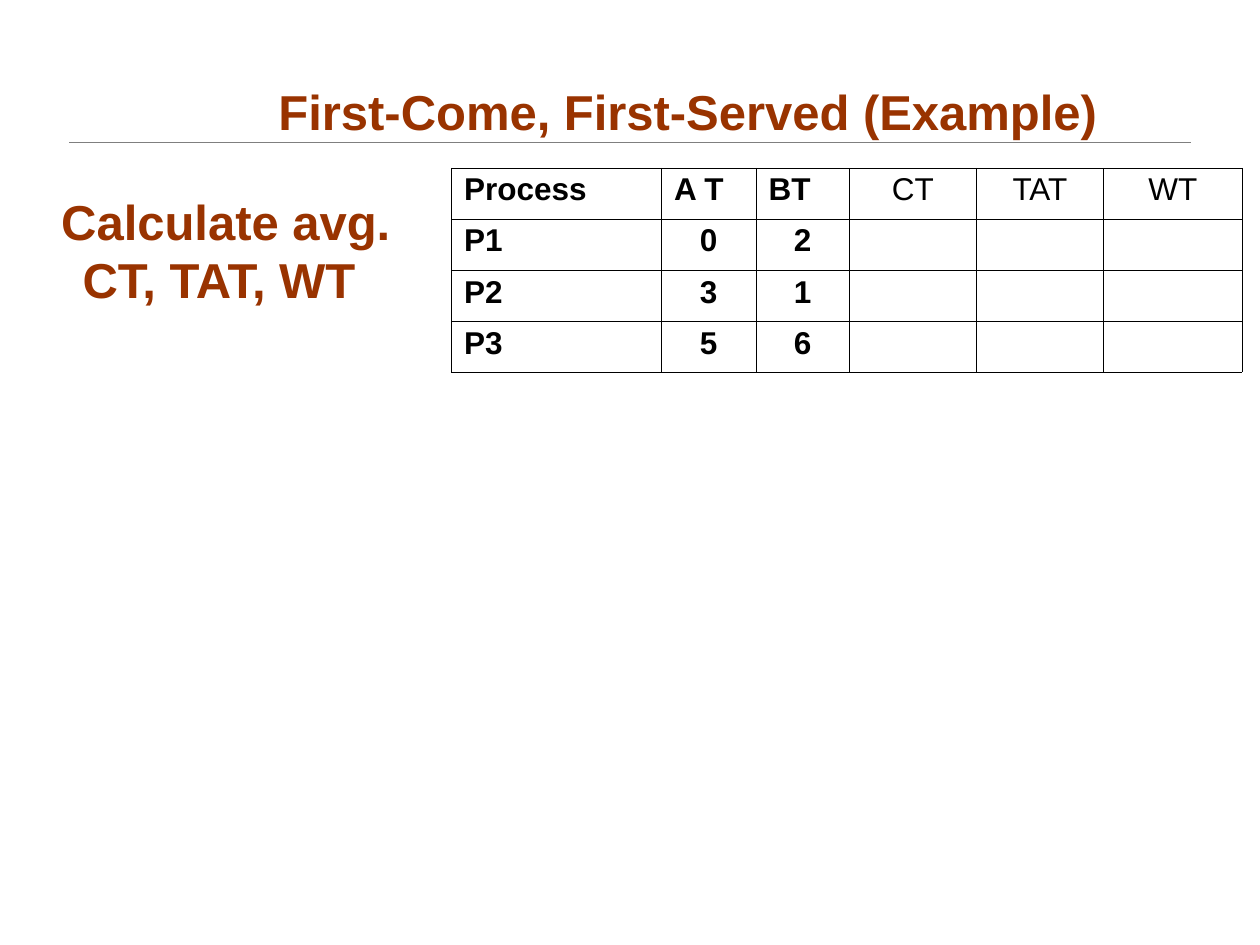
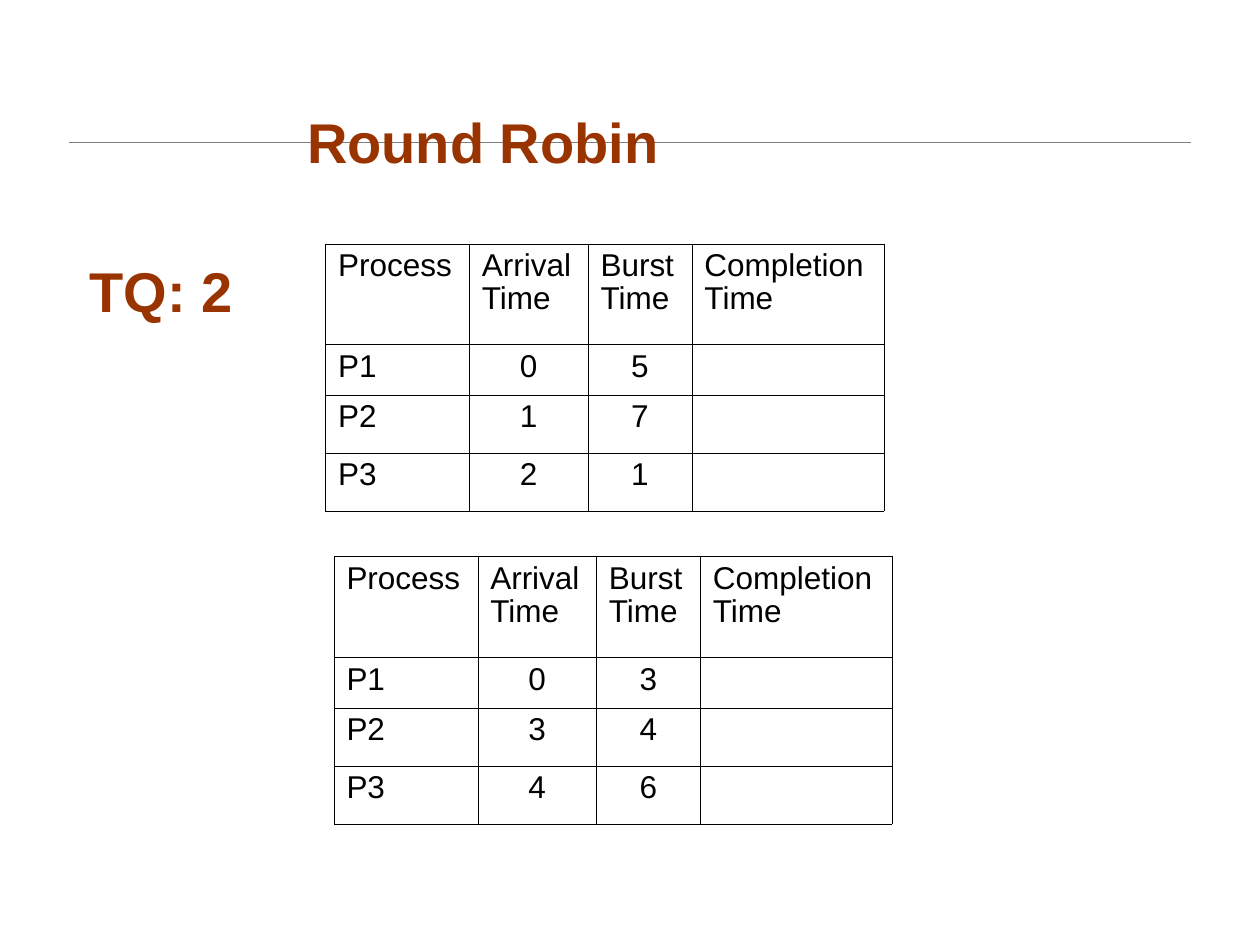
from lxml.etree import SubElement
from pptx import Presentation
from pptx.dml.color import RGBColor
from pptx.enum.shapes import MSO_CONNECTOR as Connector
from pptx.enum.text import MSO_ANCHOR as Anchor, MSO_AUTO_SIZE as AutoSize, PP_ALIGN as Align
from pptx.oxml.ns import qn
from pptx.util import Inches, Pt

COLORS = {"heading": "993300", "rule": "7F7F7F", "text": "000000", "border": "000000"}
FONT = "Arial"
COLUMNS, ROWS = 120, 90
RESULTS = ("CT", "TAT", "WT")


class Deck:
    """Holds the style and the current slide; lengths are grid columns and rows."""

    def __init__(self):
        self.presentation = Presentation()
        self.presentation.slide_width = Inches(10)
        self.presentation.slide_height = Inches(7.5)
        self.slide = None

    def across(self, columns):
        return round(self.presentation.slide_width * columns / COLUMNS)

    def down(self, rows):
        return round(self.presentation.slide_height * rows / ROWS)

    def box(self, left, top, width, height):
        return self.across(left), self.down(top), self.across(width), self.down(height)

    def style_font(self, paragraph, size, color, bold):
        font = paragraph.font
        font.name, font.size, font.bold = FONT, Pt(size), bold
        font.color.rgb = RGBColor.from_string(COLORS[color])

    def add_slide(self, title, size, box):
        layout = self.presentation.slide_layouts.get_by_name("Title Only")
        self.slide = self.presentation.slides.add_slide(layout)
        self.add_rule()
        placeholder = self.slide.shapes.title
        placeholder.left, placeholder.top, placeholder.width, placeholder.height = self.box(*box)
        self.write_heading(placeholder, title, size)

    def add_rule(self):
        """Draw the thin line that lies behind the title."""
        shapes = self.slide.shapes
        level = self.down(13.5)
        rule = shapes.add_connector(
            Connector.STRAIGHT, self.across(6.6), level, self.across(113.4), level)
        rule.line.color.rgb = RGBColor.from_string(COLORS["rule"])
        rule.line.width = Pt(0.25)
        SubElement(rule._element.spPr, qn("a:effectLst"))
        shapes._spTree.insert(2, rule._element)

    def add_note(self, text, size, box):
        self.write_heading(self.slide.shapes.add_textbox(*self.box(*box)), text, size)

    def write_heading(self, shape, text, size):
        frame = shape.text_frame
        frame.text = text
        frame.word_wrap = True
        frame.auto_size = AutoSize.NONE
        frame.vertical_anchor = Anchor.BOTTOM
        paragraph = frame.paragraphs[0]
        paragraph.alignment = Align.CENTER
        self.style_font(paragraph, size, "heading", True)

    def add_table(self, left, top, widths, heights, records, bold=False):
        box = self.box(left, top, sum(widths), sum(heights))
        table = self.slide.shapes.add_table(len(heights), len(widths), *box).table
        table.first_row = table.horz_banding = False
        for column, width in zip(table.columns, widths):
            column.width = self.across(width)
        for row, height, record in zip(table.rows, heights, records):
            row.height = self.down(height)
            for index, cell in enumerate(row.cells):
                # Columns without a value stay empty for the reader to fill in.
                self.fill_cell(cell, record[index] if index < len(record) else "", bold)

    def fill_cell(self, cell, text, bold):
        properties = cell._tc.get_or_add_tcPr()
        for side in ("lnL", "lnR", "lnT", "lnB"):
            border = SubElement(properties, qn(f"a:{side}"), w=str(Pt(0.11)))
            fill = SubElement(border, qn("a:solidFill"))
            SubElement(fill, qn("a:srgbClr"), val=COLORS["border"])
        cell.fill.background()
        cell.text = text
        paragraph = cell.text_frame.paragraphs[0]
        paragraph.line_spacing = 0.94
        is_result = text in RESULTS
        paragraph.alignment = Align.CENTER if text.isdigit() or is_result else Align.LEFT
        self.style_font(paragraph, 18, "text", bold and not is_result)


def add_first_come(deck):
    deck.add_slide("First-Come, First-Served (Example)", 28, (18, 7, 95, 7))
    deck.add_table(
        43, 16, [20, 9, 8.9, 12.1, 12.1, 13.2], [4.87] * 4,
        [("Process", "A T", "BT", *RESULTS),
         ("P1", "0", "2"), ("P2", "3", "1"), ("P3", "5", "6")],
        bold=True)
    deck.add_note("Calculate avg. CT, TAT, WT ", 28, (4, 16, 35, 14))


def add_round_robin(deck):
    deck.add_slide("Round Robin", 32, (8.9, 8.75, 74.2, 8.5))
    deck.add_note("TQ: 2 ", 32, (3.5, 22.9, 25.2, 8.5))
    header = ("Process", "Arrival Time", "Burst Time", "Completion Time")
    exercises = [
        (31, 23.2, [("P1", "0", "5"), ("P2", "1", "7"), ("P3", "2", "1")]),
        (31.8, 53, [("P1", "0", "3"), ("P2", "3", "4"), ("P3", "4", "6")]),
    ]
    for left, top, processes in exercises:
        deck.add_table(left, top, [13.7, 11.3, 9.9, 18.3], [9.6, 4.8, 5.55, 5.55],
                       [header, *processes])


def main():
    deck = Deck()
    add_first_come(deck)
    add_round_robin(deck)
    deck.presentation.save("out.pptx")


if __name__ == "__main__":
    main()
